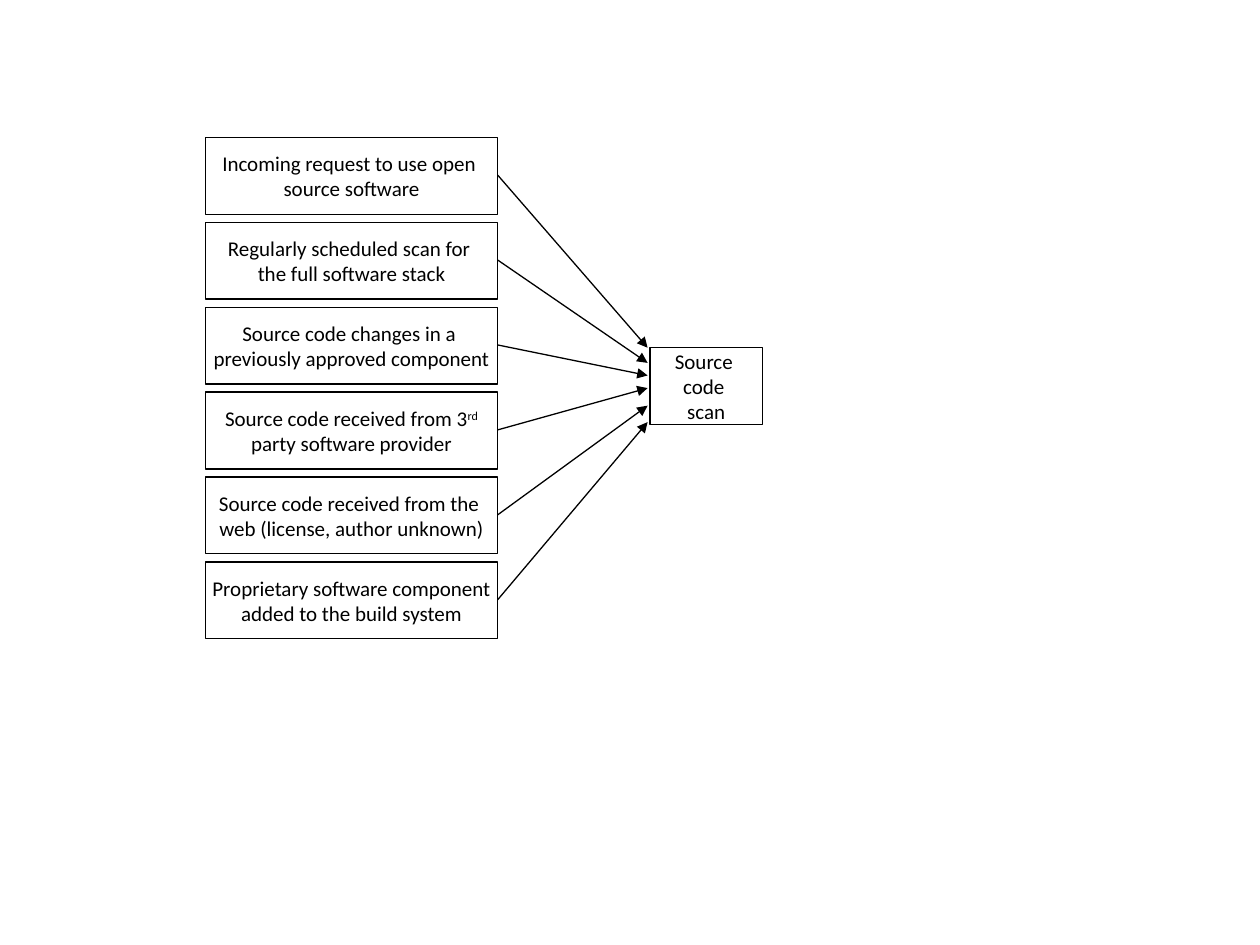
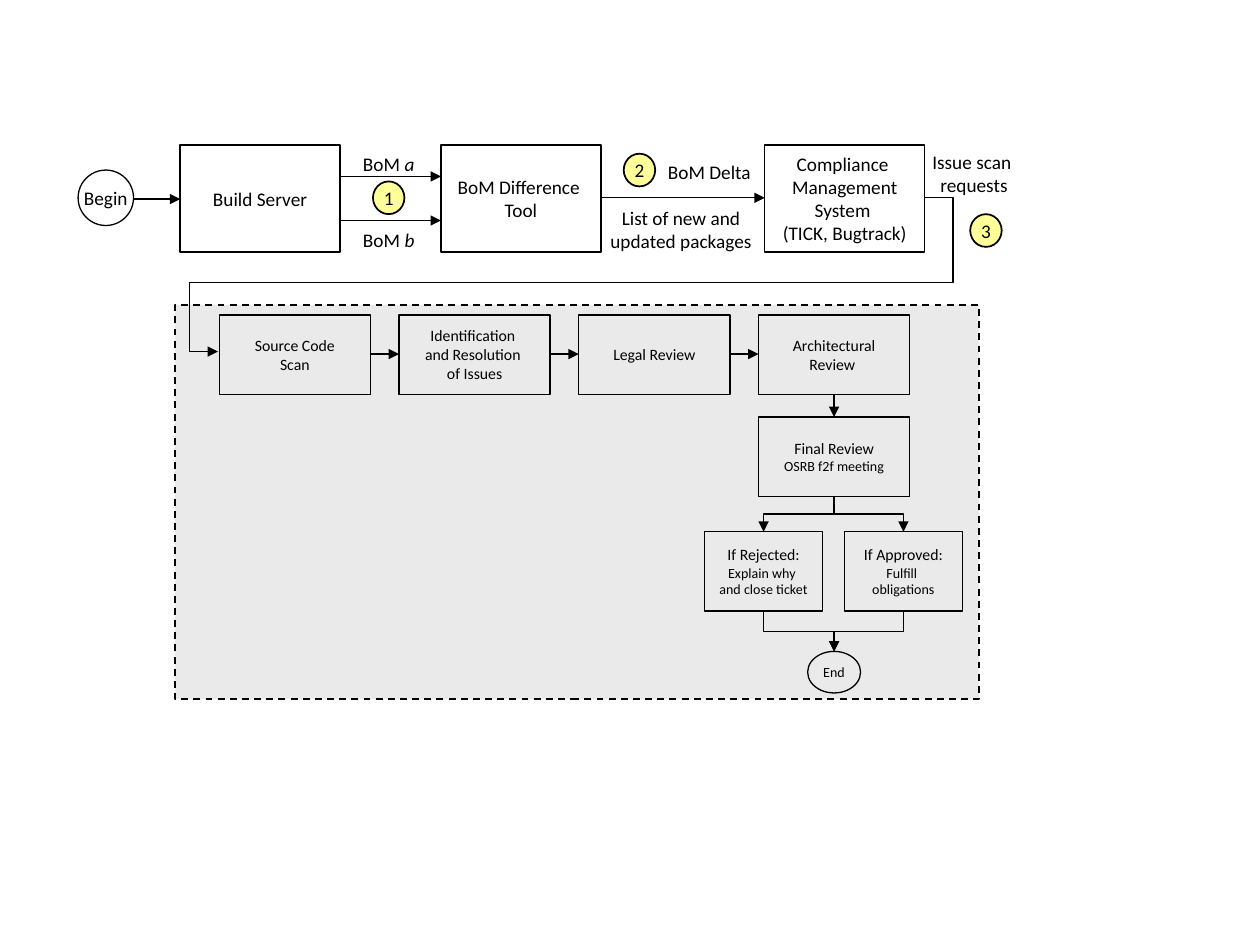
from lxml import etree
from pptx import Presentation
from pptx.dml.color import RGBColor
from pptx.enum.dml import MSO_LINE
from pptx.enum.shapes import MSO_CONNECTOR, MSO_SHAPE
from pptx.enum.text import MSO_ANCHOR, PP_ALIGN
from pptx.oxml.ns import qn
from pptx.util import Inches, Pt

BLACK = RGBColor(0x00, 0x00, 0x00)
GRAY = RGBColor(0xEA, 0xEA, 0xEA)
YELLOW = RGBColor(0xFF, 0xFF, 0x99)
RECT, OVAL = MSO_SHAPE.RECTANGLE, MSO_SHAPE.OVAL
STRAIGHT, ELBOW = MSO_CONNECTOR.STRAIGHT, MSO_CONNECTOR.ELBOW
CENTER, MIDDLE, DASH = PP_ALIGN.CENTER, MSO_ANCHOR.MIDDLE, MSO_LINE.DASH
FONT = "Calibri"
BLANK_LAYOUT = 6


class Diagram:
    def __init__(self, deck):
        self.deck = deck
        self.page = None

    def new_page(self):
        self.page = self.deck.slides.add_slide(self.deck.slide_layouts[BLANK_LAYOUT])

    def fill_text(self, frame, text, size, detail_size=None):
        for index, line in enumerate(text.split("\n")):
            para = frame.add_paragraph() if index else frame.paragraphs[0]
            para.alignment = CENTER
            para.font.name = FONT
            para.font.size = Pt(detail_size if index and detail_size else size)
            para.font.color.rgb = BLACK
            para.add_run().text = line

    def box(self, left, top, width, height, text="", size=12, detail_size=None,
            kind=RECT, fill=None, weight=0.75):
        box = self.page.shapes.add_shape(
            kind, Inches(left), Inches(top), Inches(width), Inches(height))
        box.shadow.inherit = False
        if fill is None:
            box.fill.background()
        else:
            box.fill.solid()
            box.fill.fore_color.rgb = fill
        box.line.color.rgb = BLACK
        box.line.width = Pt(weight)
        box.text_frame.word_wrap = False
        box.text_frame.vertical_anchor = MIDDLE
        if text:
            self.fill_text(box.text_frame, text, size, detail_size)
        return box

    def badge(self, left, top, number):
        self.box(left, top, 0.25, 0.26, number, 11, kind=OVAL, fill=YELLOW, weight=1)

    def label(self, left, top, width, height, text, wrap=True):
        box = self.page.shapes.add_textbox(
            Inches(left), Inches(top), Inches(width), Inches(height))
        box.text_frame.word_wrap = wrap
        self.fill_text(box.text_frame, text, 11)
        return box

    def arrow(self, start, end, kind=STRAIGHT):
        line = self.page.shapes.add_connector(
            kind, *[Inches(value) for value in (*start, *end)])
        line.line.color.rgb = BLACK
        line.line.width = Pt(0.75)
        properties = line._element.spPr
        etree.SubElement(properties.get_or_add_ln(), qn("a:tailEnd"), type="triangle")
        etree.SubElement(properties, qn("a:effectLst"))
        return line

    def down_elbow(self, start, end):
        (x1, y1), (x2, y2) = start, end
        middle_x, middle_y = (x1 + x2) / 2, (y1 + y2) / 2
        run, drop = abs(x2 - x1), y2 - y1
        left, top = middle_x - drop / 2, middle_y - run / 2
        line = self.arrow((left, top), (left + drop, top + run), ELBOW)
        frame = line._element.spPr.find(qn("a:xfrm"))
        frame.set("rot", str((270 if x2 > x1 else 90) * 60000))
        if x2 > x1:
            frame.set("flipH", "1")

    def loop_back(self, start, end, bends):
        line = self.arrow(start, end, ELBOW)
        geometry = line._element.spPr.find(qn("a:prstGeom"))
        geometry.set("prst", "bentConnector5")
        guides = geometry.find(qn("a:avLst"))
        for index, bend in enumerate(bends, 1):
            etree.SubElement(guides, qn("a:gd"), name=f"adj{index}",
                             fmla=f"val {round(bend * 100000)}")


def scan_triggers(diagram):
    diagram.new_page()
    triggers = [
        ("Incoming request to use open \nsource software", 2.76),
        ("Regularly scheduled scan for \nthe full software stack", 2.88),
        ("Source code changes in a \npreviously approved component", 2.98),
        ("Source code received from 3\nparty software provider", 3.08),
        ("Source code received from the \nweb (license, author unknown)", 3.22),
        ("Proprietary software component\nadded to the build system", 3.35),
    ]
    first_top, last_top = 1.09, 4.46
    pitch = (last_top - first_top) / (len(triggers) - 1)
    for index, (text, target) in enumerate(triggers):
        top = first_top + index * pitch
        box = diagram.box(1.63, top, 2.32, 0.61, text)
        diagram.arrow((3.95, top + 0.3), (5.14, target))
        if text.endswith("provider"):
            ordinal = box.text_frame.paragraphs[0].add_run()
            ordinal.text = "rd"
            ordinal._r.get_or_add_rPr().set("baseline", "30000")
    diagram.box(5.16, 2.76, 0.89, 0.61, "Source \ncode \nscan")


def request_flow(diagram):
    diagram.box(0.62, 1.35, 0.44, 0.44, "Begin", 11, kind=OVAL)
    systems = [
        (1.43, "Build Server"),
        (3.5, "BoM Difference \nTool"),
        (6.07, "Compliance \nManagement\nSystem \n(TICK, Bugtrack)"),
    ]
    for left, text in systems:
        diagram.box(left, 1.15, 1.27, 0.85, text, 11)
    for start, end, height in [(1.06, 1.43, 1.58), (2.71, 3.5, 1.4),
                               (2.71, 3.5, 1.75), (4.77, 6.07, 1.57)]:
        diagram.arrow((start, height), (end, height))
    for top, letter in [(1.16, "a"), (1.76, "b")]:
        label = diagram.label(2.78, top, 0.61, 0.29, "BoM ", wrap=False)
        span = label.text_frame.paragraphs[0].add_run()
        span.text = letter
        span.font.italic = True
    diagram.label(5.13, 1.22, 1, 0.29, "BoM Delta")
    diagram.label(4.65, 1.59, 1.51, 0.47, "List of new and updated packages")
    diagram.label(7.24, 1.14, 0.98, 0.47, "Issue scan \nrequests")
    for left, top, number in [(2.96, 1.44, "1"), (4.95, 1.22, "2"), (7.7, 1.7, "3")]:
        diagram.badge(left, top, number)


def review_flow(diagram):
    width, height, top = 1.2, 0.63, 2.5
    reviews = ["Source Code\nScan", "Identification \nand Resolution \nof Issues",
               "Legal Review", "Architectural\nReview "]
    first_left, last_left = 1.74, 6.02
    pitch = (last_left - first_left) / (len(reviews) - 1)
    for index, text in enumerate(reviews):
        left = first_left + index * pitch
        diagram.box(left, top, width, height, text, 9)
        if index:
            diagram.arrow((left - pitch + width, 2.81), (left, 2.81))
    center = last_left + width / 2
    diagram.arrow((center, top + height), (center, 3.31))
    diagram.box(last_left, 3.31, width, height, "Final Review\nOSRB f2f meeting", 9, 8)
    outcomes = [
        (5.59, "If Rejected:\nExplain why \nand close ticket"),
        (6.7, "If Approved:\nFulfill \nobligations"),
    ]
    for left, text in outcomes:
        diagram.box(left, 4.22, 0.94, height, text, 9, 8)
        diagram.down_elbow((center, 3.94), (left + 0.47, 4.22))
        diagram.down_elbow((left + 0.47, 4.85), (center, 5.17))
    diagram.box(6.41, 5.17, 0.42, 0.33, "End", 8, kind=OVAL)


def compliance_process(diagram):
    diagram.new_page()
    panel = diagram.box(1.39, 2.42, 6.38, 3.13, fill=GRAY, weight=1)
    panel.line.dash_style = DASH
    review_flow(diagram)
    request_flow(diagram)
    diagram.loop_back((7.34, 1.57), (1.73, 2.79), (-0.04, 0.55, 1.04))


def main():
    deck = Presentation()
    deck.slide_width, deck.slide_height = Inches(10), Inches(7.5)
    diagram = Diagram(deck)
    scan_triggers(diagram)
    compliance_process(diagram)
    deck.save("out.pptx")


if __name__ == "__main__":
    main()
